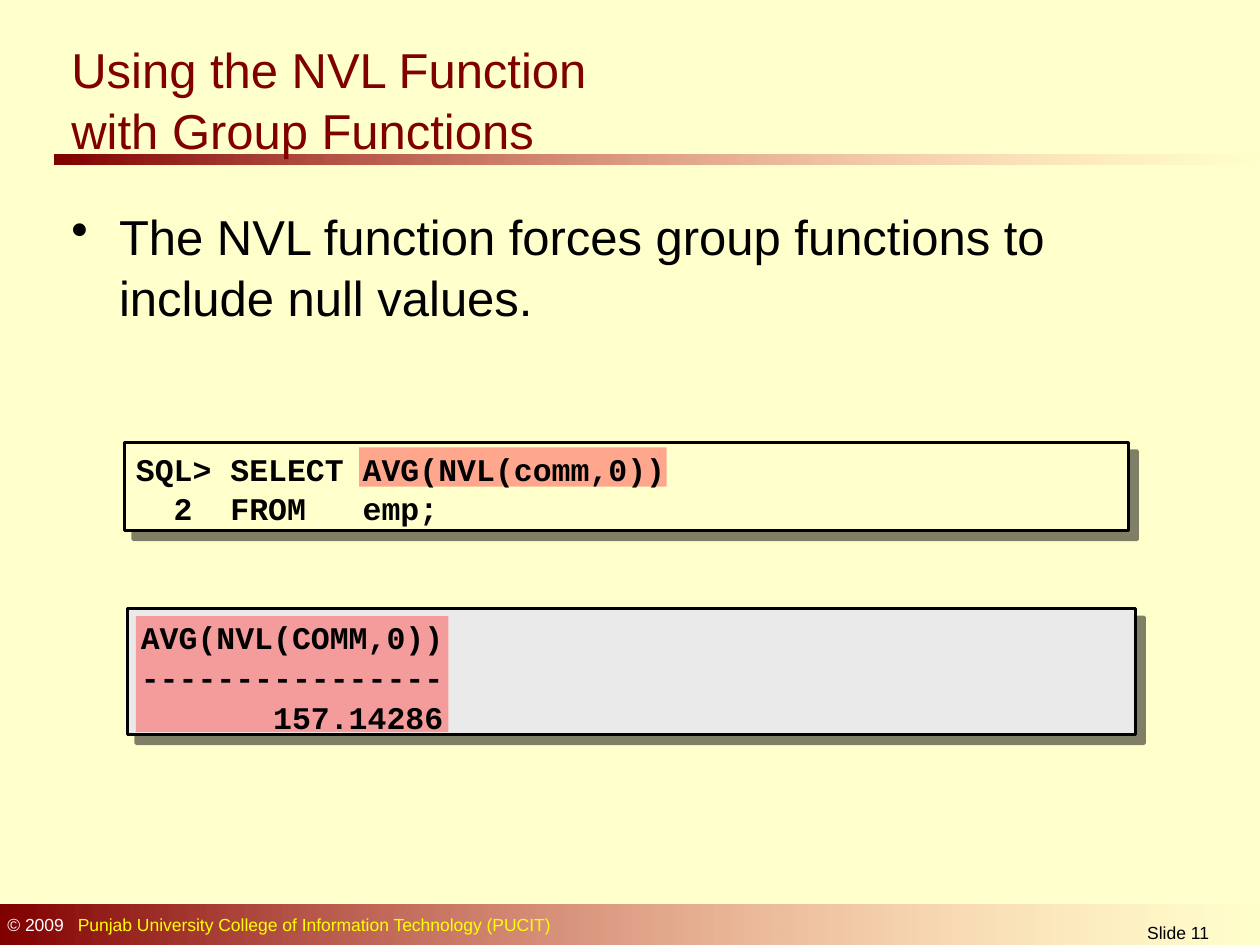
from dataclasses import dataclass

from lxml import etree
from pptx import Presentation
from pptx.dml.color import RGBColor
from pptx.enum import shapes, text
from pptx.oxml import ns
from pptx.util import Cm, Pt

CREAM = RGBColor(0xFF, 0xFF, 0xCC)
MAROON = RGBColor(0x80, 0x00, 0x00)
PINK = RGBColor(0xFF, 0x85, 0x85)
RED = RGBColor(0xFF, 0x50, 0x50)
GREY = RGBColor(0xEA, 0xEA, 0xEA)
BLACK = RGBColor(0x00, 0x00, 0x00)
WHITE = RGBColor(0xFF, 0xFF, 0xFF)
YELLOW = RGBColor(0xFF, 0xFF, 0x00)


@dataclass
class Box:
    """A rectangle in centimetres."""
    left: float
    top: float
    width: float
    height: float

    def lengths(self) -> tuple:
        return Cm(self.left), Cm(self.top), Cm(self.width), Cm(self.height)


@dataclass
class Style:
    size: float
    font: str = "Arial"
    color: RGBColor = BLACK
    bold: bool = False
    spacing: float = 1.0


@dataclass
class CodePanel:
    frame: Box
    fill: RGBColor
    highlight: Box
    listing: Box
    lines: list[str]


HEADING = Style(28, color=MAROON, spacing=1.04)
BODY = Style(28, spacing=1.04)
CODE = Style(18, "Courier New", bold=True, spacing=1.05)
SMALL = Style(10)

GRADIENT_BARS = [Box(1.09, 3.12, 24.31, 0.2), Box(0, 18.24, 25.4, 0.81)]
PANELS = [
    CodePanel(Box(2.51, 8.92, 20.24, 1.78), CREAM,
              Box(7.24, 9.02, 6.2, 0.79), Box(2.49, 8.9, 20.32, 1.85),
              ["SQL> SELECT AVG(NVL(comm,0))", "  2  FROM   emp;"]),
    CodePanel(Box(2.57, 12.27, 20.32, 2.54), GREY,
              Box(2.74, 12.42, 6.3, 2.34), Box(2.59, 12.36, 20.24, 2.54),
              ["AVG(NVL(COMM,0))", "-" * 16, "       157.14286"]),
]


def set_alpha(color_parent, percent: int) -> None:
    for color in color_parent.iter(ns.qn("a:srgbClr")):
        etree.SubElement(color, ns.qn("a:alpha"), val=str(percent * 1000))


def add_rect(slide, box: Box):
    rect = slide.shapes.add_shape(shapes.MSO_SHAPE.RECTANGLE, *box.lengths())
    rect.shadow.inherit = False
    rect.line.fill.background()
    return rect


def add_fading_bar(slide, box: Box) -> None:
    bar = add_rect(slide, box)
    bar.fill.gradient()
    bar.fill.gradient_angle = 0
    start, end = bar.fill.gradient_stops
    start.color.rgb, end.color.rgb = MAROON, PINK
    start.position, end.position = 0, 1
    last_stop = bar._element.spPr.findall(".//" + ns.qn("a:gs"))[-1]
    set_alpha(last_stop, 0)


def add_frame(slide, box: Box, fill: RGBColor) -> None:
    """Draw an outlined panel with a hard shadow to the lower right."""
    frame = add_rect(slide, box)
    frame.fill.solid()
    frame.fill.fore_color.rgb = fill
    frame.line.color.rgb = BLACK
    frame.line.width = Pt(2)
    effects = frame._element.spPr.find(ns.qn("a:effectLst"))
    shadow = etree.SubElement(effects, ns.qn("a:outerShdw"), blurRad="0",
                              dist=str(Pt(7.1)), dir=str(45 * 60000),
                              algn="ctr", rotWithShape="0")
    etree.SubElement(shadow, ns.qn("a:srgbClr"), val=str(BLACK))
    set_alpha(shadow, 50)


def add_highlight(slide, box: Box) -> None:
    highlight = add_rect(slide, box)
    highlight.fill.solid()
    highlight.fill.fore_color.rgb = RED
    set_alpha(highlight._element.spPr, 50)


def add_frame_for_text(slide, box: Box, anchor=text.MSO_ANCHOR.TOP):
    frame = slide.shapes.add_textbox(*box.lengths()).text_frame
    frame.word_wrap = True
    frame.vertical_anchor = anchor
    return frame


def add_run(paragraph, words: str, style: Style) -> None:
    run = paragraph.add_run()
    run.text = words
    run.font.name = style.font
    run.font.size = Pt(style.size)
    run.font.bold = style.bold
    run.font.color.rgb = style.color
    paragraph.line_spacing = style.spacing


def add_title(slide) -> None:
    frame = add_frame_for_text(slide, Box(1.19, 0.64, 22.99, 2.69),
                               text.MSO_ANCHOR.MIDDLE)
    title = frame.paragraphs[0]
    add_run(title, "Using the NVL Function", HEADING)
    title.add_line_break()
    add_run(title, "with Group Functions", HEADING)


def add_bullet(slide) -> None:
    bullet = add_frame_for_text(slide, Box(1.19, 3.99, 22.99, 2.64)).paragraphs[0]
    props = bullet._p.get_or_add_pPr()
    props.set("marL", str(Cm(0.96)))
    props.set("indent", str(-Cm(0.96)))
    etree.SubElement(props, ns.qn("a:buChar"), char="•")
    add_run(bullet, "The NVL function forces group functions to include null values.",
            BODY)


def add_code_panel(slide, panel: CodePanel) -> None:
    add_frame(slide, panel.frame, panel.fill)
    add_highlight(slide, panel.highlight)
    listing = add_frame_for_text(slide, panel.listing, text.MSO_ANCHOR.MIDDLE)
    for number, line in enumerate(panel.lines):
        paragraph = listing.add_paragraph() if number else listing.paragraphs[0]
        add_run(paragraph, line, CODE)


def add_footer(slide) -> None:
    credit = add_frame_for_text(slide, Box(-0.1, 18.31, 16.4, 0.69)).paragraphs[0]
    tabs = etree.SubElement(credit._p.get_or_add_pPr(), ns.qn("a:tabLst"))
    etree.SubElement(tabs, ns.qn("a:tab"), pos=str(Cm(1.42)), algn="l")
    add_run(credit, "© 2009\t", Style(10, color=WHITE))
    add_run(credit, "Punjab University College of Information Technology (PUCIT)",
            Style(10, color=YELLOW))
    page = add_frame_for_text(slide, Box(22.1, 18.46, 3.3, 0.59)).paragraphs[0]
    page.alignment = text.PP_ALIGN.CENTER
    add_run(page, "Slide 11", SMALL)


def main() -> None:
    deck = Presentation()
    deck.slide_width, deck.slide_height = Cm(25.4), Cm(19.05)
    slide = deck.slides.add_slide(deck.slide_layouts[6])
    slide.background.fill.solid()
    slide.background.fill.fore_color.rgb = CREAM
    for bar in GRADIENT_BARS:
        add_fading_bar(slide, bar)
    add_footer(slide)
    add_title(slide)
    add_bullet(slide)
    for panel in PANELS:
        add_code_panel(slide, panel)
    deck.save("out.pptx")


if __name__ == "__main__":
    main()
